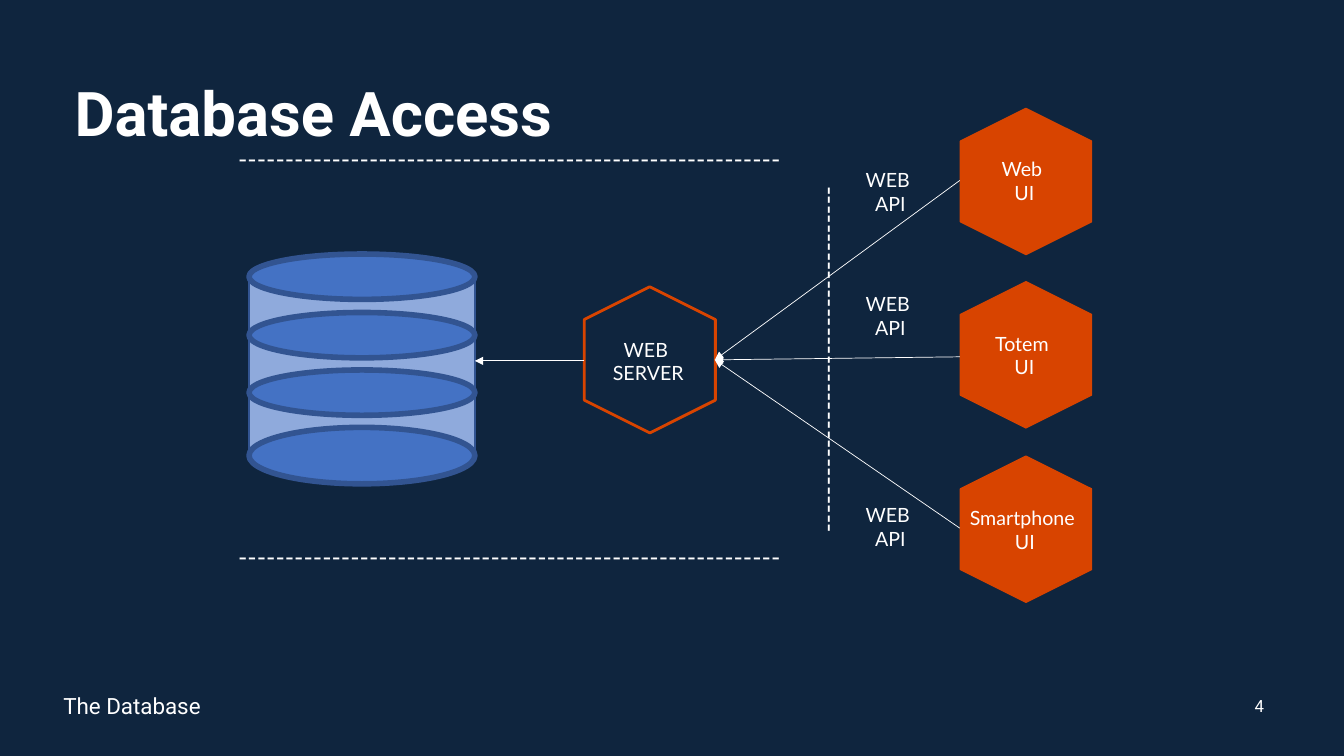
from pptx import Presentation
from pptx.dml.color import RGBColor
from pptx.enum.shapes import MSO_CONNECTOR, MSO_SHAPE
from pptx.enum.text import MSO_ANCHOR, PP_ALIGN
from pptx.oxml.ns import qn
from pptx.util import Inches, Pt
from lxml import etree

RECTANGLE, ELLIPSE, HEXAGON = MSO_SHAPE.RECTANGLE, MSO_SHAPE.OVAL, MSO_SHAPE.HEXAGON
STRAIGHT = MSO_CONNECTOR.STRAIGHT
LEFT, CENTER = PP_ALIGN.LEFT, PP_ALIGN.CENTER
TOP, MIDDLE = MSO_ANCHOR.TOP, MSO_ANCHOR.MIDDLE

COLORS = {
    name: RGBColor.from_string(value)
    for name, value in {
        "navy": "0F253E", "white": "FFFFFF", "orange": "D84400",
        "blue": "4472C4", "light blue": "8FAADC", "dark blue": "325491",
    }.items()
}

presentation = Presentation()
presentation.slide_width, presentation.slide_height = Inches(13.33), Inches(7.5)
slide = presentation.slides.add_slide(presentation.slide_layouts[5])
slide.background.fill.solid()
slide.background.fill.fore_color.rgb = COLORS["navy"]


def add_figure(kind, box, fill, line, weight, rotation=0):
    shape = slide.shapes.add_shape(kind, *map(Inches, box))
    shape.shadow.inherit = False
    shape.fill.solid()
    shape.fill.fore_color.rgb = COLORS[fill]
    shape.line.color.rgb = COLORS[line]
    shape.line.width = Pt(weight)
    shape.rotation = rotation


def write_text(shape, text, font_format, alignment=CENTER, anchor=TOP):
    frame = shape.text_frame
    frame.word_wrap = True
    frame.vertical_anchor = anchor
    frame.text = text
    for paragraph in frame.paragraphs:
        paragraph.alignment = alignment
        for run in paragraph.runs:
            run.font.color.rgb = COLORS["white"]
            for name, value in font_format.items():
                setattr(run.font, name, value)


# Title
title = slide.shapes.title
title.left, title.top, title.width, title.height = map(Inches, (0.64, 0.55, 11.5, 1.22))
write_text(title, "Database Access", {"name": "Roboto", "size": Pt(44), "bold": True}, LEFT, MIDDLE)
title.text_frame.paragraphs[0].line_spacing = 0.9

# Database cylinder: body, then its discs with the lid last
add_figure(RECTANGLE, (2.47, 2.72, 2.24, 1.79), "light blue", "dark blue", 1.25)
for disc_top, disc_height in ((3.1, 0.45), (3.67, 0.45), (4.24, 0.56), (2.52, 0.45)):
    add_figure(ELLIPSE, (2.47, disc_top, 2.24, disc_height), "blue", "dark blue", 4)

# Client and server hexagons
for client_top in (1.15, 2.87, 4.6):
    add_figure(HEXAGON, (9.45, client_top, 1.45, 1.3), "orange", "orange", 1, 90)
add_figure(HEXAGON, (5.72, 2.92, 1.45, 1.3), "navy", "orange", 2, 90)

# Arrows from the clients to the server and from the server to the database
for ends in (
    (9.52, 1.79, 7.09, 3.57),
    (9.52, 3.54, 7.09, 3.57),
    (9.52, 5.24, 7.09, 3.57),
    (5.79, 3.58, 4.71, 3.58),
):
    arrow = slide.shapes.add_connector(STRAIGHT, *map(Inches, ends))
    arrow.line.color.rgb = COLORS["white"]
    arrow.line.width = Pt(0.5)
    etree.SubElement(arrow.line._get_or_add_ln(), qn("a:tailEnd"), type="triangle")
    etree.SubElement(arrow._element.spPr, qn("a:effectLst"))

# Dashed boundaries
for box, dash_count, rotation in (
    ((1.13, 1.37, 7.85, 0.4), 58, 0),
    ((1.13, 5.32, 7.85, 0.4), 58, 0),
    ((6.11, 3.37, 4.27, 0.4), 37, 90),
):
    boundary = slide.shapes.add_textbox(*map(Inches, box))
    boundary.rotation = rotation
    write_text(boundary, "-" * dash_count, {"name": "Lato", "size": Pt(18)})

# Diagram labels
for text, left, top, width in (
    ("Web \nUI", 9.62, 1.51, 1.08),
    ("Totem \nUI", 9.62, 3.24, 1.08),
    ("Smartphone \nUI", 9.48, 4.97, 1.37),
    ("WEB \nSERVER", 5.89, 3.3, 1.08),
    ("WEB \nAPI", 8.29, 1.62, 1.08),
    ("WEB \nAPI", 8.29, 2.85, 1.08),
    ("WEB \nAPI", 8.29, 4.94, 1.08),
):
    label = slide.shapes.add_textbox(*map(Inches, (left, top, width, 0.57)))
    write_text(label, text, {"name": "Lato", "size": Pt(14)})

# Footer and page number
for text, left, width, size, alignment in (
    ("The Database", 0.53, 4.5, 16, LEFT),
    ("4", 12.24, 0.5, 12, CENTER),
):
    footer = slide.shapes.add_textbox(*map(Inches, (left, 6.8, width, 0.4)))
    write_text(footer, text, {"name": "Roboto", "size": Pt(size)}, alignment, MIDDLE)

presentation.save("out.pptx")
